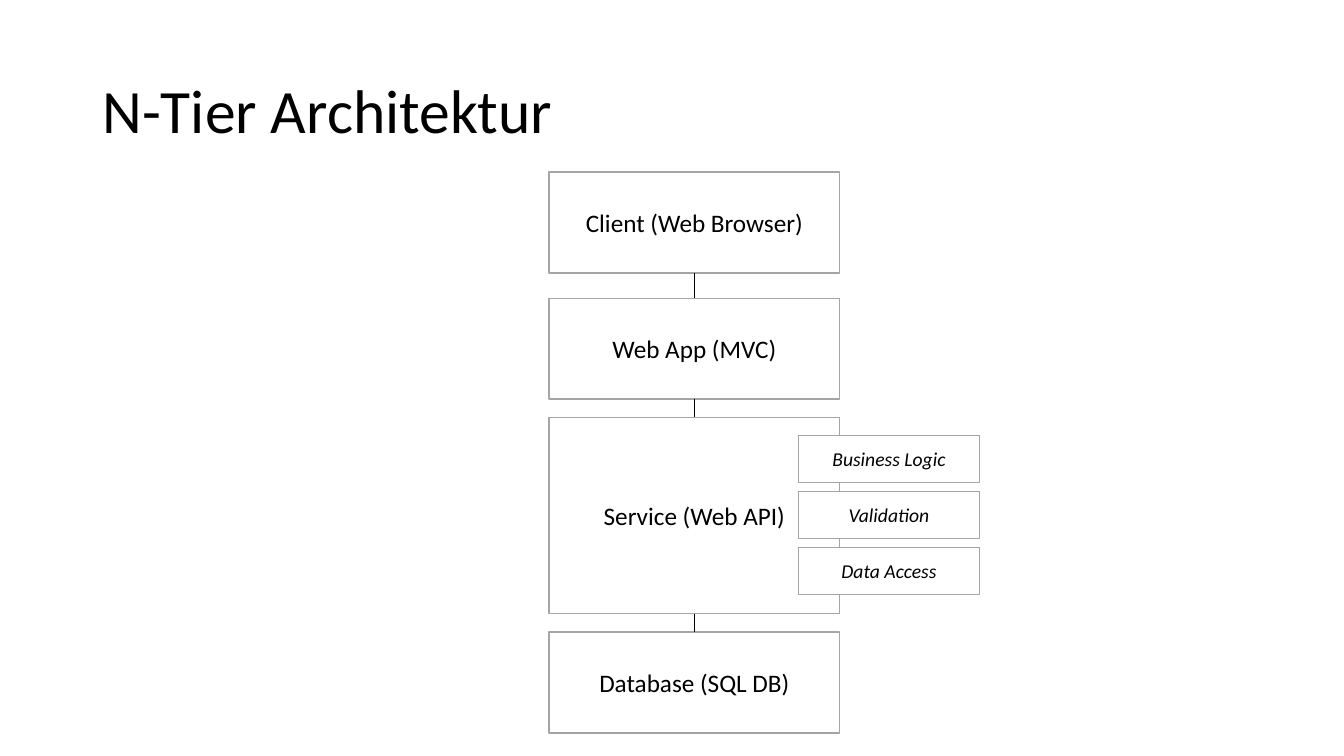
from dataclasses import dataclass
from itertools import pairwise

from pptx import Presentation
from pptx.dml.color import RGBColor
from pptx.enum.shapes import MSO_CONNECTOR, MSO_SHAPE
from pptx.enum.text import MSO_ANCHOR, PP_ALIGN
from pptx.oxml.ns import qn
from pptx.util import Cm, Pt
from lxml import etree

RECTANGLE = MSO_SHAPE.RECTANGLE
STRAIGHT = MSO_CONNECTOR.STRAIGHT
MIDDLE = MSO_ANCHOR.MIDDLE
LEFT, CENTER = PP_ALIGN.LEFT, PP_ALIGN.CENTER
TOP_SITE, BOTTOM_SITE = 0, 2  # connection sites of a rectangle


@dataclass(frozen=True)
class Theme:
    font: str = "Calibri"
    ink: RGBColor = RGBColor(0x00, 0x00, 0x00)
    paper: RGBColor = RGBColor(0xFF, 0xFF, 0xFF)
    border: RGBColor = RGBColor(0xA5, 0xA5, 0xA5)
    title_size: int = 44
    tier_size: int = 18
    module_size: int = 14


THEME = Theme()

# Tiers from top to bottom: label, top and height in cm
TIER_LEFT, TIER_WIDTH = 13.84, 7.32
TIERS = [
    ("Client (Web Browser)", 4.34, 2.54),
    ("Web App (MVC)", 7.52, 2.54),
    ("Service (Web API)", 10.52, 4.94),
    ("Database (SQL DB)", 15.93, 2.54),
]

# Modules of the service tier, evenly stacked over its right edge
MODULES = ["Business Logic", "Validation", "Data Access"]
MODULE_LEFT, MODULE_TOP = 20.12, 10.97
MODULE_WIDTH, MODULE_HEIGHT, MODULE_PITCH = 4.57, 1.19, 1.41


def write_text(frame, text, *, size, align=CENTER, italic=False, spacing=1.0):
    frame.word_wrap = True
    frame.vertical_anchor = MIDDLE
    paragraph = frame.paragraphs[0]
    paragraph.alignment = align
    paragraph.line_spacing = spacing
    run = paragraph.add_run()
    run.text = text
    run.font.name = THEME.font
    run.font.size = Pt(size)
    run.font.italic = italic
    run.font.color.rgb = THEME.ink


def add_title(slide, text):
    title = slide.shapes.add_textbox(Cm(2.33), Cm(1.01), Cm(29.21), Cm(3.68))
    write_text(title.text_frame, text, size=THEME.title_size, align=LEFT, spacing=0.9)


def add_box(slide, text, left, top, width, height, **text_format):
    box = slide.shapes.add_shape(RECTANGLE, Cm(left), Cm(top), Cm(width), Cm(height))
    box.shadow.inherit = False
    box.fill.solid()
    box.fill.fore_color.rgb = THEME.paper
    box.line.color.rgb = THEME.border
    box.line.width = Pt(1)
    write_text(box.text_frame, text, **text_format)
    return box


def link_tiers(slide, upper, lower):
    link = slide.shapes.add_connector(STRAIGHT, 0, 0, 0, 0)
    link.begin_connect(upper, BOTTOM_SITE)
    link.end_connect(lower, TOP_SITE)
    link.line.color.rgb = THEME.ink
    link.line.width = Pt(0.5)
    etree.SubElement(link._element.spPr, qn("a:effectLst"))


def main():
    deck = Presentation()
    deck.slide_width, deck.slide_height = Cm(33.87), Cm(19.05)
    slide = deck.slides.add_slide(deck.slide_layouts[6])

    add_title(slide, "N-Tier Architektur")

    # Tiers and the links between neighbours
    tiers = [
        add_box(slide, label, TIER_LEFT, top, TIER_WIDTH, height, size=THEME.tier_size)
        for label, top, height in TIERS
    ]
    for upper, lower in pairwise(tiers):
        link_tiers(slide, upper, lower)

    # Service modules
    for index, label in enumerate(MODULES):
        top = MODULE_TOP + index * MODULE_PITCH
        add_box(slide, label, MODULE_LEFT, top, MODULE_WIDTH, MODULE_HEIGHT,
                size=THEME.module_size, italic=True)

    deck.save("out.pptx")


main()
